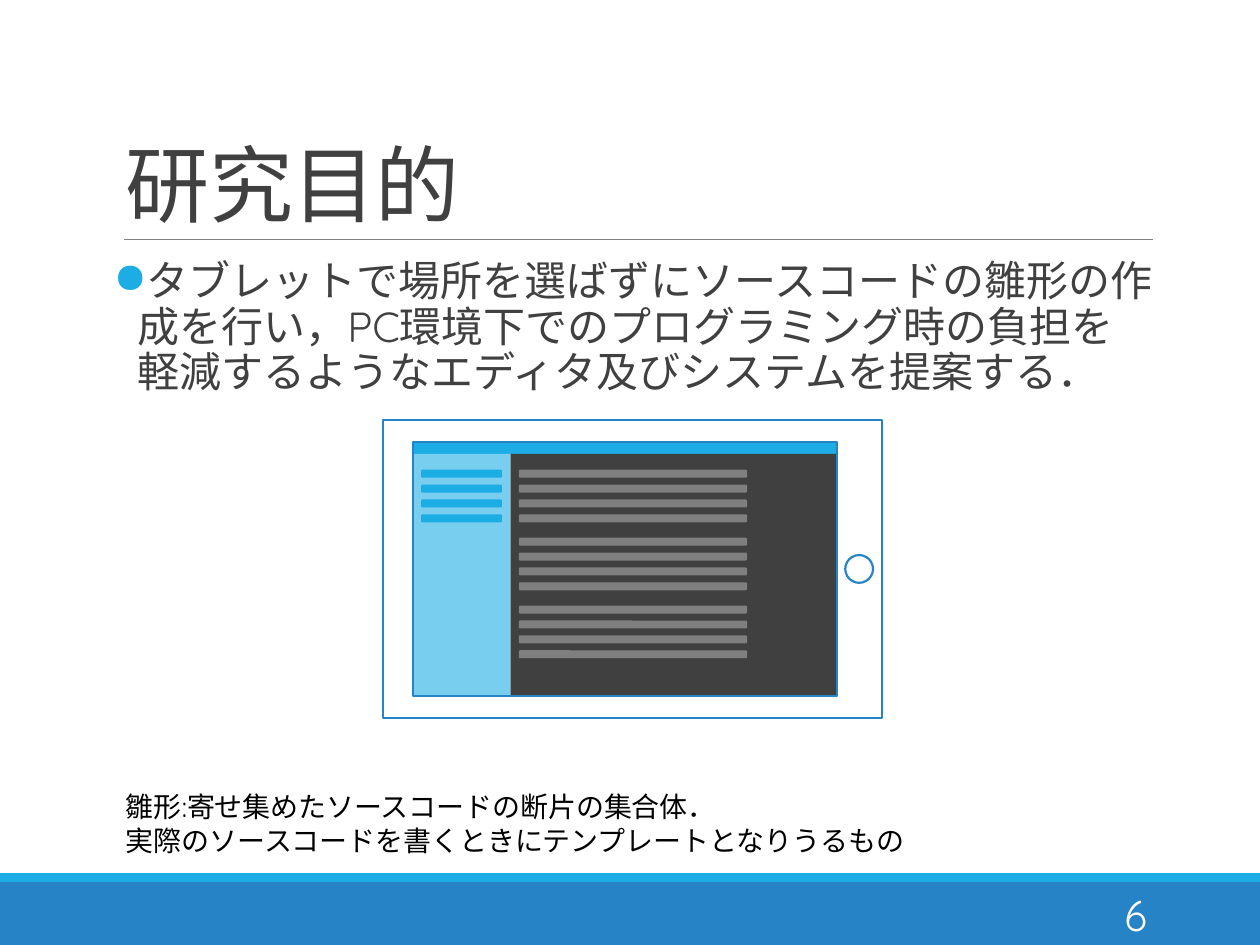
from lxml.etree import SubElement
from pptx import Presentation
from pptx.dml.color import RGBColor
from pptx.enum.shapes import MSO_CONNECTOR, MSO_SHAPE
from pptx.enum.text import MSO_ANCHOR, PP_ALIGN
from pptx.oxml.ns import qn
from pptx.util import Cm, Pt

FONT = "Quicksand"
BLUE, CYAN, PALE_CYAN = "2683C6", "1CADE4", "77CEEF"
DARK, GRAY, LIGHT_GRAY = "404040", "808080", "BFBFBF"
WHITE, BLACK = "FFFFFF", "000000"


def color(value):
    return RGBColor.from_string(value)


def add_box(shapes, left, top, width, height, fill=None, line=None,
            kind=MSO_SHAPE.RECTANGLE, opacity=None):
    """Add a preset shape; lengths in cm, opacity in percent."""
    shape = shapes.add_shape(kind, Cm(left), Cm(top), Cm(width), Cm(height))
    shape.shadow.inherit = False
    if fill:
        shape.fill.solid()
        shape.fill.fore_color.rgb = color(fill)
    else:
        shape.fill.background()
    if line:
        shape.line.color.rgb = color(line)
        shape.line.width = Pt(1.25)
    else:
        shape.line.fill.background()
    if opacity:
        fill_color = shape._element.spPr.find(qn("a:solidFill"))[0]
        SubElement(fill_color, qn("a:alpha"), val=str(opacity * 1000))
    return shape


def add_text(slide, left, top, width, height, lines, size, text_color,
             anchor=MSO_ANCHOR.TOP, alignment=PP_ALIGN.LEFT, wrap=True):
    """Add a text box with one paragraph per line and return its frame."""
    box = slide.shapes.add_textbox(Cm(left), Cm(top), Cm(width), Cm(height))
    frame = box.text_frame
    frame.word_wrap = wrap
    frame.vertical_anchor = anchor
    frame.text = "\n".join(lines)
    for paragraph in frame.paragraphs:
        paragraph.alignment = alignment
        paragraph.font.name = FONT
        paragraph.font.size = Pt(size)
        paragraph.font.color.rgb = color(text_color)
    return frame


def add_footer(slide, left, top, width, height, number):
    stripe = 0.18
    add_box(slide.shapes, left, top + stripe, width, height - stripe, BLUE)
    add_box(slide.shapes, left, top, width, stripe, CYAN)
    add_text(slide, left + 20.62, top + 0.33, 2.75, 1.02, [number], 24, WHITE,
             MSO_ANCHOR.MIDDLE, PP_ALIGN.RIGHT)


def add_title(slide, left, top, width, height, title):
    frame = add_text(slide, left, top, width, height, [title], 48, DARK,
                     MSO_ANCHOR.BOTTOM)
    paragraph = frame.paragraphs[0]
    paragraph.line_spacing = 0.85
    paragraph.font._element.set("spc", "-50")
    bottom = Cm(top + height)
    rule = slide.shapes.add_connector(MSO_CONNECTOR.STRAIGHT, Cm(left + 0.2),
                                      bottom, Cm(left + width), bottom)
    rule.line.color.rgb = color(GRAY)
    rule.line.width = Pt(0.5)
    SubElement(rule._element.spPr, qn("a:effectLst"))


def add_bullet_text(slide, left, top, width, height, text):
    frame = add_text(slide, left, top, width, height, [text], 24, DARK)
    frame.margin_left = frame.margin_right = 0
    paragraph = frame.paragraphs[0]
    paragraph.line_spacing = 0.9
    paragraph.space_before = Pt(12)
    paragraph.space_after = Pt(2)
    properties = paragraph._p.get_or_add_pPr()
    indent = Cm(0.48)
    properties.set("marL", str(indent))
    properties.set("indent", str(-indent))
    defaults = properties.find(qn("a:defRPr"))
    bullet_color = SubElement(properties, qn("a:buClr"))
    SubElement(bullet_color, qn("a:srgbClr"), val=CYAN)
    SubElement(properties, qn("a:buChar"), char="●")
    properties.append(defaults)


def add_text_bars(shapes, left, top, width, fill, opacity=None):
    """Add a block of four bars that stand for lines of text."""
    for row in range(4):
        add_box(shapes, left, top + row * 0.3, width, 0.16, fill,
                kind=MSO_SHAPE.ROUNDED_RECTANGLE, opacity=opacity)


def add_tablet(slide, left, top, width, height):
    shapes = slide.shapes.add_group_shape().shapes
    screen_left, screen_top = left + 0.6, top + 0.45
    screen_width, screen_height = width - 1.5, height - 0.89
    sidebar, header, button = 1.97, 0.24, 0.56
    pane_top, pane_height = screen_top + header, screen_height - header

    add_box(shapes, screen_left, screen_top, screen_width, header, CYAN)
    add_box(shapes, screen_left + sidebar, pane_top, screen_width - sidebar,
            pane_height, DARK)
    add_box(shapes, screen_left, pane_top, sidebar, pane_height, PALE_CYAN)
    add_box(shapes, left, top, width, height, line=BLUE)
    add_box(shapes, screen_left, screen_top, screen_width, screen_height,
            line=BLUE)
    add_box(shapes, left + width - 0.74, top + (height - button) / 2,
            button, button, line=BLUE, kind=MSO_SHAPE.OVAL)

    bars_top = screen_top + 0.56
    add_text_bars(shapes, screen_left + 0.17, bars_top, 1.63, CYAN)
    for block in range(3):
        add_text_bars(shapes, screen_left + sidebar + 0.17,
                      bars_top + block * 1.37, 4.6, LIGHT_GRAY, 50)


def main():
    presentation = Presentation()
    presentation.slide_width = Cm(25.4)
    presentation.slide_height = Cm(19.05)
    slide = presentation.slides.add_slide(presentation.slide_layouts[6])

    add_footer(slide, 0, 17.6, 25.4, 1.45, "6")
    add_title(slide, 2.29, 0.79, 20.95, 4.04, "研究目的")
    add_bullet_text(
        slide, 2.29, 5.13, 20.95, 11.18,
        "タブレットで場所を選ばずにソースコードの雛形の作成を行い，"
        "PC環境下でのプログラミング時の負担を軽減するような"
        "エディタ及びシステムを提案する．")
    add_tablet(slide, 7.72, 8.46, 10.06, 6.02)
    add_text(slide, 2.29, 15.8, 16.46, 1.63,
             ["雛形:寄せ集めたソースコードの断片の集合体．",
              "実際のソースコードを書くときにテンプレートとなりうるもの"],
             16, BLACK, wrap=False)

    presentation.save("out.pptx")


if __name__ == "__main__":
    main()
